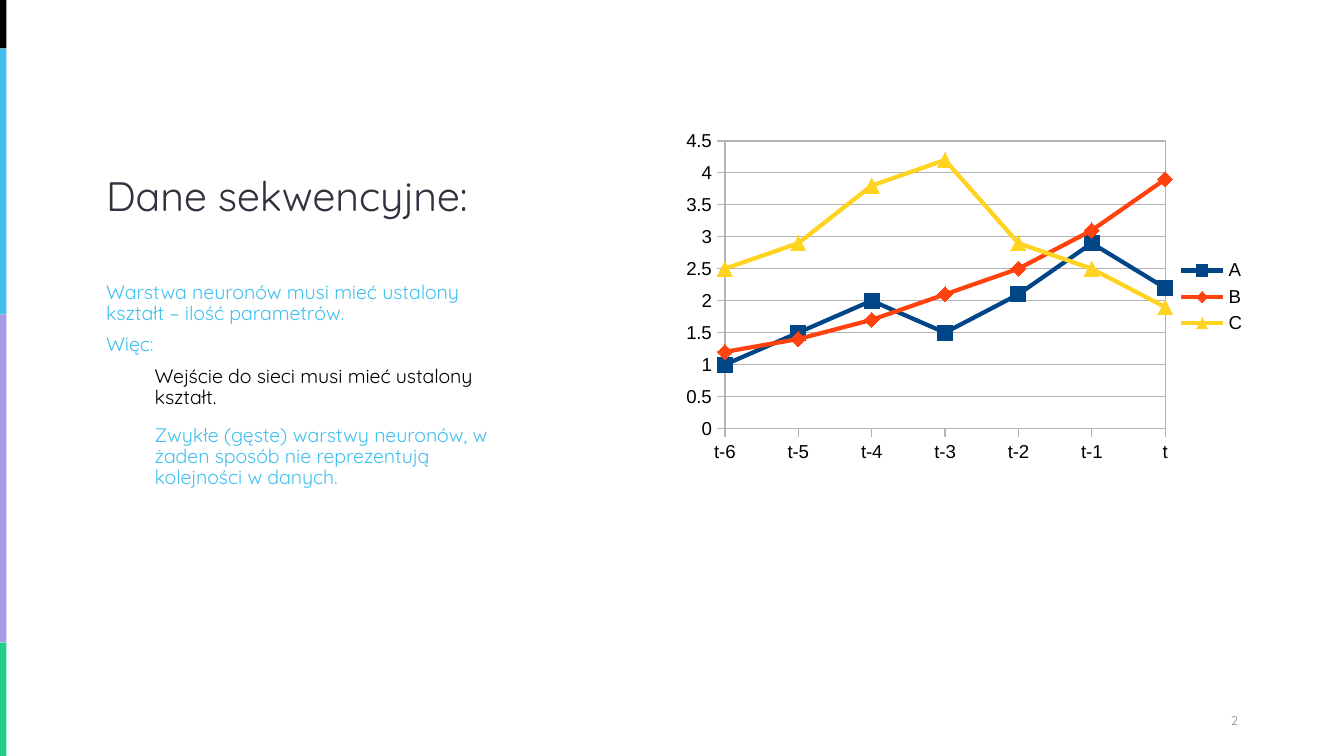
import pptx
import pptx.chart.data
import pptx.dml.color
import pptx.enum.chart
import pptx.enum.shapes
import pptx.enum.text
import pptx.oxml
import pptx.oxml.ns
import pptx.util

Pt = pptx.util.Pt
RGBColor = pptx.dml.color.RGBColor
MARKER = pptx.enum.chart.XL_MARKER_STYLE
ANCHOR = pptx.enum.text.MSO_ANCHOR
ALIGN = pptx.enum.text.PP_ALIGN

BLACK = RGBColor(0x00, 0x00, 0x00)
SKY = RGBColor(0x41, 0xC0, 0xF0)
VIOLET = RGBColor(0xA6, 0x9A, 0xE9)
GREEN = RGBColor(0x21, 0xCE, 0x8A)
INK = RGBColor(0x30, 0x32, 0x3E)
GREY = RGBColor(0x8F, 0x8F, 0x92)
GRID = RGBColor(0xB3, 0xB3, 0xB3)
NAVY = RGBColor(0x00, 0x45, 0x86)
ORANGE = RGBColor(0xFF, 0x42, 0x0E)
YELLOW = RGBColor(0xFF, 0xD3, 0x20)

TEXT_FONT = "Quicksand"
CHART_FONT = "Arial"
SLIDE_WIDTH, SLIDE_HEIGHT = 720, 405
STRIPE_WIDTH = 3.5
COLUMN_LEFT, COLUMN_WIDTH = 49.7, 231.8

TITLE = "Dane sekwencyjne:"
# text, colour, indent, space before, space after
POINTS = [
    ("Warstwa neuronów musi mieć ustalony kształt – ilość parametrów.", SKY, 0, 0, 0),
    ("Więc:", SKY, 0, 5.6, 0),
    ("Wejście do sieci musi mieć ustalony kształt.", BLACK, 26, 5.6, 2.8),
    ("Zwykłe (gęste) warstwy neuronów, w żaden sposób nie reprezentują "
     "kolejności w danych.", SKY, 26, 5.8, 2.8),
]
PAGE_NUMBER = "2"
STRIPES = [(BLACK, 26), (SKY, 142.5), (VIOLET, 175.7), (GREEN, 60.8)]
STEPS = ["t-6", "t-5", "t-4", "t-3", "t-2", "t-1", "t"]
SERIES = [
    ("A", (1, 1.5, 2, 1.5, 2.1, 2.9, 2.2), NAVY, MARKER.SQUARE),
    ("B", (1.2, 1.4, 1.7, 2.1, 2.5, 3.1, 3.9), ORANGE, MARKER.DIAMOND),
    ("C", (2.5, 2.9, 3.8, 4.2, 2.9, 2.5, 1.9), YELLOW, MARKER.TRIANGLE),
]
PLOT_AREA = {"x": 0.09, "y": 0.05, "w": 0.75, "h": 0.83}  # shares of the chart


def place(shape, left, top, width, height):
    shape.left, shape.top = Pt(left), Pt(top)
    shape.width, shape.height = Pt(width), Pt(height)


def set_font(font, name, size, color):
    font.name, font.size = name, Pt(size)
    font.color.rgb = color


def set_line(line, color, width):
    line.color.rgb = color
    line.width = Pt(width)


def prepare_frame(shape, anchor):
    frame = shape.text_frame
    frame.word_wrap = True
    frame.auto_size = pptx.enum.text.MSO_AUTO_SIZE.NONE
    frame.vertical_anchor = anchor
    return frame


def add_stripes(slide):
    top = 0
    for color, height in STRIPES:
        stripe = slide.shapes.add_shape(
            pptx.enum.shapes.MSO_SHAPE.RECTANGLE,
            0, Pt(top), Pt(STRIPE_WIDTH), Pt(height))
        stripe.shadow.inherit = False
        stripe.fill.solid()
        stripe.fill.fore_color.rgb = color
        stripe.line.fill.background()
        top += height


def add_title(slide):
    title = slide.shapes.title
    place(title, COLUMN_LEFT, 27.4, COLUMN_WIDTH, 94.3)
    heading = prepare_frame(title, ANCHOR.BOTTOM).paragraphs[0]
    heading.text = TITLE
    heading.alignment = ALIGN.LEFT
    heading.line_spacing = 0.9
    set_font(heading.runs[0].font, TEXT_FONT, 22, INK)


def add_points(slide):
    body = slide.placeholders[1]
    place(body, COLUMN_LEFT, 121.7, COLUMN_WIDTH, 224.6)
    frame = prepare_frame(body, ANCHOR.TOP)
    frame.margin_top = Pt(29.5)
    frame.text = "\n".join(point[0] for point in POINTS)
    for paragraph, (_, color, indent, before, after) in zip(frame.paragraphs, POINTS):
        paragraph.alignment = ALIGN.LEFT
        paragraph.line_spacing = 0.9
        paragraph.space_before, paragraph.space_after = Pt(before), Pt(after)
        set_font(paragraph.runs[0].font, TEXT_FONT, 10.5, color)
        properties = paragraph._p.get_or_add_pPr()
        properties.set("marL", str(Pt(indent)))
        properties.set("indent", "0")
        properties.append(pptx.oxml.parse_xml(
            f'<a:buNone {pptx.oxml.ns.nsdecls("a")}/>'))


def add_page_number(slide):
    box = slide.shapes.add_textbox(Pt(508.3), Pt(375.1), Pt(162), Pt(21.6))
    number = prepare_frame(box, ANCHOR.MIDDLE).paragraphs[0]
    number.text = PAGE_NUMBER
    number.alignment = ALIGN.RIGHT
    set_font(number.runs[0].font, TEXT_FONT, 6.8, GREY)


def frame_plot(chart):
    """Fix the plot area, border it and start the lines on the value axis."""
    plot_area = chart._chartSpace.chart.plotArea
    for layout in plot_area.findall(pptx.oxml.ns.qn("c:layout")):
        plot_area.remove(layout)
    modes = "".join(f'<c:{side}Mode val="edge"/>' for side in "xy")
    shares = "".join(f'<c:{side} val="{share}"/>' for side, share in PLOT_AREA.items())
    plot_area.insert(0, pptx.oxml.parse_xml(
        f'<c:layout {pptx.oxml.ns.nsdecls("c")}><c:manualLayout>'
        f'<c:layoutTarget val="inner"/>{modes}{shares}</c:manualLayout></c:layout>'))
    plot_area.append(pptx.oxml.parse_xml(
        f'<c:spPr {pptx.oxml.ns.nsdecls("c", "a")}><a:noFill/><a:ln w="{Pt(0.75)}">'
        f'<a:solidFill><a:srgbClr val="{GRID}"/></a:solidFill></a:ln></c:spPr>'))
    major_unit = chart.value_axis._element.find(pptx.oxml.ns.qn("c:majorUnit"))
    major_unit.addprevious(pptx.oxml.parse_xml(
        f'<c:crossBetween {pptx.oxml.ns.nsdecls("c")} val="midCat"/>'))


def add_sequence_chart(slide):
    data = pptx.chart.data.CategoryChartData()
    data.categories = STEPS
    for name, values, _, _ in SERIES:
        data.add_series(name, values)
    chart = slide.shapes.add_chart(
        pptx.enum.chart.XL_CHART_TYPE.LINE_MARKERS,
        Pt(360), Pt(66.2), Pt(314.6), Pt(185.8), data).chart
    chart.has_title = False
    set_font(chart.font, CHART_FONT, 10, BLACK)
    chart.has_legend = True
    chart.legend.position = pptx.enum.chart.XL_LEGEND_POSITION.RIGHT
    chart.legend.include_in_layout = False
    set_font(chart.legend.font, CHART_FONT, 10, BLACK)

    for axis in (chart.category_axis, chart.value_axis):
        axis.major_tick_mark = pptx.enum.chart.XL_TICK_MARK.OUTSIDE
        axis.minor_tick_mark = pptx.enum.chart.XL_TICK_MARK.NONE
        set_line(axis.format.line, GRID, 0.75)
        set_font(axis.tick_labels.font, CHART_FONT, 10, BLACK)
    chart.value_axis.minimum_scale = 0
    chart.value_axis.maximum_scale = 4.5
    chart.value_axis.major_unit = 0.5
    set_line(chart.value_axis.major_gridlines.format.line, GRID, 0.75)

    chart.plots[0].vary_by_categories = False
    for series, (_, _, color, marker) in zip(chart.plots[0].series, SERIES):
        series.smooth = False
        set_line(series.format.line, color, 2.27)
        series.marker.style = marker
        series.marker.size = 8
        series.marker.format.fill.solid()
        series.marker.format.fill.fore_color.rgb = color
        series.marker.format.line.color.rgb = color
    frame_plot(chart)


def main():
    deck = pptx.Presentation()
    deck.slide_width, deck.slide_height = Pt(SLIDE_WIDTH), Pt(SLIDE_HEIGHT)
    slide = deck.slides.add_slide(deck.slide_layouts[1])
    add_stripes(slide)
    add_title(slide)
    add_points(slide)
    add_page_number(slide)
    add_sequence_chart(slide)
    deck.save("out.pptx")


if __name__ == "__main__":
    main()
